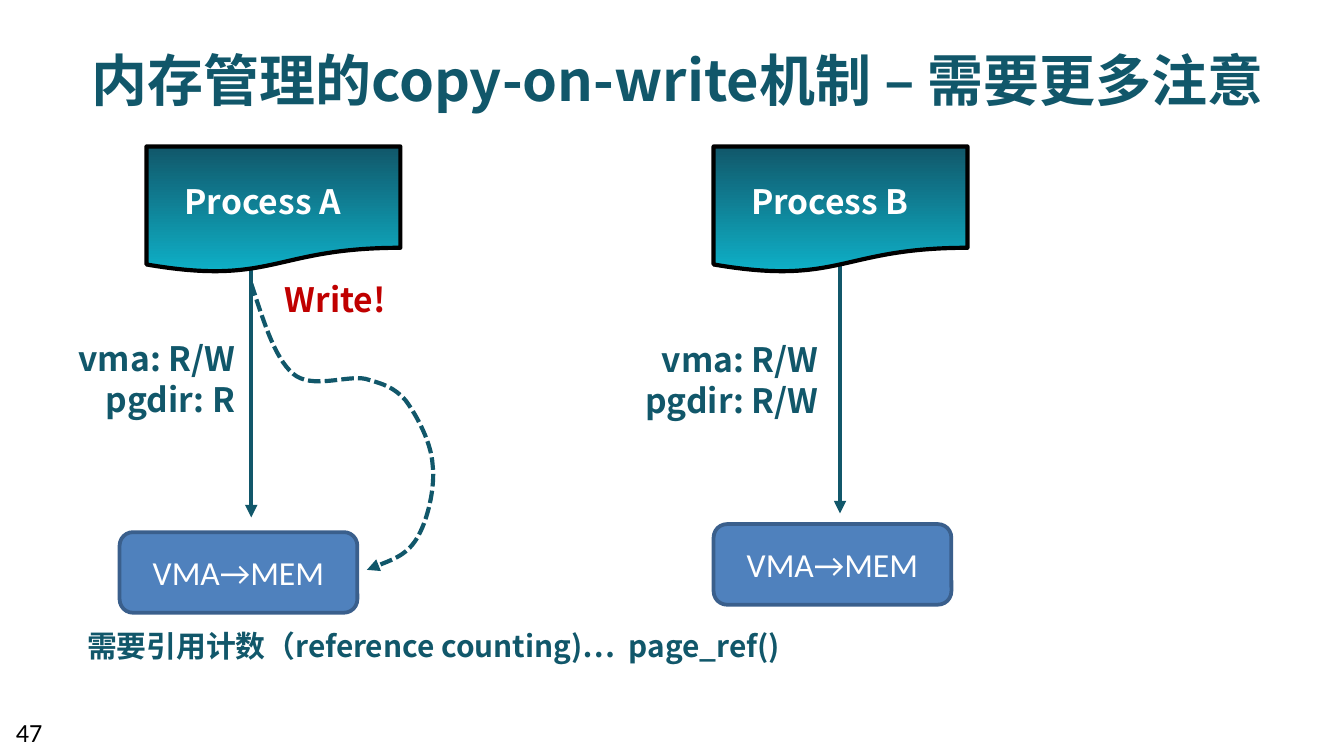
from lxml import etree
from pptx import Presentation
from pptx.dml.color import RGBColor
from pptx.enum import dml, shapes, text
from pptx.oxml.ns import qn
from pptx.util import Pt

TEAL = RGBColor(0x11, 0x57, 0x6A)
CYAN = RGBColor(0x0E, 0xB1, 0xC8)
RED = RGBColor(0xC0, 0x00, 0x00)
BLUE = RGBColor(0x4F, 0x81, 0xBD)
NAVY = RGBColor(0x3A, 0x5F, 0x8C)
WHITE = RGBColor(0xFF, 0xFF, 0xFF)
BLACK = RGBColor(0x00, 0x00, 0x00)
NOTO = "Noto Sans CJK SC"
LEFT, MID, RIGHT = (text.PP_ALIGN.LEFT, text.PP_ALIGN.CENTER,
                    text.PP_ALIGN.RIGHT)

# Name, document x, arrow (x, top, end), access box, access lines, memory box
TASKS = [
    ("Process A", 78.5, (134.6, 144, 277.2), (28.1, 177.1, 105.1, 51.1),
     ["vma: R/W", "pgdir: R"], (64.1, 285.1, 127.4, 43.2)),
    ("Process B", 382.3, (450, 141.8, 275), (329, 177.8, 116.6, 51.1),
     ["vma: R/W", "pgdir: R/W"], (382.3, 280.8, 127.4, 43.2)),
]

# Start point, then three points for each curve
CURVE = [
    (134.6, 151.9),
    (141.1, 171.4), (146.9, 191.5), (157, 200.2),
    (167, 208.8), (185.8, 200.9), (195.8, 203),
    (205.9, 205.9), (211, 207.4), (217.4, 214.6),
    (223.2, 222.5), (231.1, 236.9), (231.8, 249.1),
    (233.3, 261.4), (229, 279.4), (223.2, 288.7),
    (217.4, 298.1), (196.6, 305.3), (196.6, 305.3),
]


def pts(vals):
    return [Pt(v) for v in vals]


def write(frame, lines, size, color, align, font=NOTO, lead=None):
    """Fill a text frame, one paragraph to a line."""
    for i, line in enumerate(lines):
        para = frame.paragraphs[0] if i == 0 else frame.add_paragraph()
        para.alignment = align
        if lead:
            para.line_spacing = Pt(lead)
        run = para.add_run()
        run.text = line
        run.font.size = Pt(size)
        run.font.bold = font == NOTO
        run.font.color.rgb = color
        run.font.name = font
        east = etree.SubElement(run.font._element, qn("a:ea"))
        east.set("typeface", font)


def label(slide, box, lines, color=TEAL, align=RIGHT, size=18, lead=22):
    frame = slide.shapes.add_textbox(*pts(box)).text_frame
    frame.word_wrap = False
    frame.auto_size = text.MSO_AUTO_SIZE.SHAPE_TO_FIT_TEXT
    write(frame, lines, size, color, align, lead=lead)


def stroke(shape, color, width):
    shape.line.color.rgb = color
    shape.line.width = Pt(width)


def tip(shape):
    """Put a triangle at the end of a line."""
    end = etree.SubElement(shape.line._get_or_add_ln(), qn("a:tailEnd"))
    end.set("type", "triangle")


def arrow(slide, x, top, end):
    line = slide.shapes.add_connector(
        shapes.MSO_CONNECTOR.STRAIGHT, *pts((x, top, x, end)))
    stroke(line, TEAL, 2.25)
    tip(line)
    etree.SubElement(line._element.spPr, qn("a:effectLst"))


def page(slide, x, name):
    """Draw a process as a document with its name."""
    doc = slide.shapes.add_shape(
        shapes.MSO_SHAPE.FLOWCHART_DOCUMENT, *pts((x, 78.5, 136, 67.7)))
    doc.shadow.inherit = False
    doc.fill.gradient()
    doc.fill.gradient_angle = 90
    for stop, color in zip(doc.fill.gradient_stops, (CYAN, TEAL)):
        stop.color.rgb = color
    stroke(doc, BLACK, 2.25)
    label(slide, (x + 10.8, 92.9, 103, 28.8), [name], WHITE, MID)


def memory(slide, box):
    rect = slide.shapes.add_shape(
        shapes.MSO_SHAPE.ROUNDED_RECTANGLE, *pts(box))
    rect.shadow.inherit = False
    rect.fill.solid()
    rect.fill.fore_color.rgb = BLUE
    stroke(rect, NAVY, 2)
    rect.text_frame.vertical_anchor = text.MSO_ANCHOR.MIDDLE
    write(rect.text_frame, ["VMA→MEM"], 18, WHITE, MID, "Calibri")


def bend(slide, points):
    """Draw a dashed arrow through cubic curves."""
    first, *rest = [pts(p) for p in points]
    pen = slide.shapes.build_freeform(*first)
    pen.add_line_segments(rest, close=False)
    shape = pen.convert_to_shape()
    shape.shadow.inherit = False
    shape.fill.background()
    stroke(shape, TEAL, 2.25)
    shape.line.dash_style = dml.MSO_LINE.SQUARE_DOT
    tip(shape)
    # Turn each three line segments into one curve
    track = shape._element.spPr.find(".//" + qn("a:path"))
    steps = track.findall(qn("a:lnTo"))
    for i in range(0, len(steps), 3):
        cubic = etree.SubElement(track, qn("a:cubicBezTo"))
        for step in steps[i:i + 3]:
            cubic.append(step[0])
            track.remove(step)


def head(slide, line):
    title = slide.shapes.title
    title.left, title.top, title.width, title.height = pts(
        (28.1, 16.6, 669.6, 43.9))
    frame = title.text_frame
    frame.word_wrap = True
    frame.auto_size = text.MSO_AUTO_SIZE.NONE
    frame.vertical_anchor = text.MSO_ANCHOR.TOP
    write(frame, [line], 30, TEAL, MID, lead=40)


def main():
    deck = Presentation()
    deck.slide_width, deck.slide_height = Pt(720), Pt(405)
    slide = deck.slides.add_slide(deck.slide_layouts[5])
    head(slide, "内存管理的copy-on-write机制 – 需要更多注意")

    # Processes and their memory
    for name, x, line, box, access, mem in TASKS:
        arrow(slide, *line)
        page(slide, x, name)
        label(slide, box, access)
        memory(slide, mem)

    # Write access
    label(slide, (141.8, 145.4, 72, 28.8), ["Write!"], RED)
    bend(slide, CURVE)

    # Closing remark and slide number
    label(slide, (39.6, 331.9, 396, 26.6),
          ["需要引用计数（reference counting)…  page_ref()"],
          align=LEFT, size=16, lead=20)
    num = slide.shapes.add_textbox(*pts((1.4, 380.2, 34.6, 21.6)))
    num.text_frame.word_wrap = True
    write(num.text_frame, ["47"], 14, BLACK, LEFT, "Calibri")

    deck.save("out.pptx")


if __name__ == "__main__":
    main()
